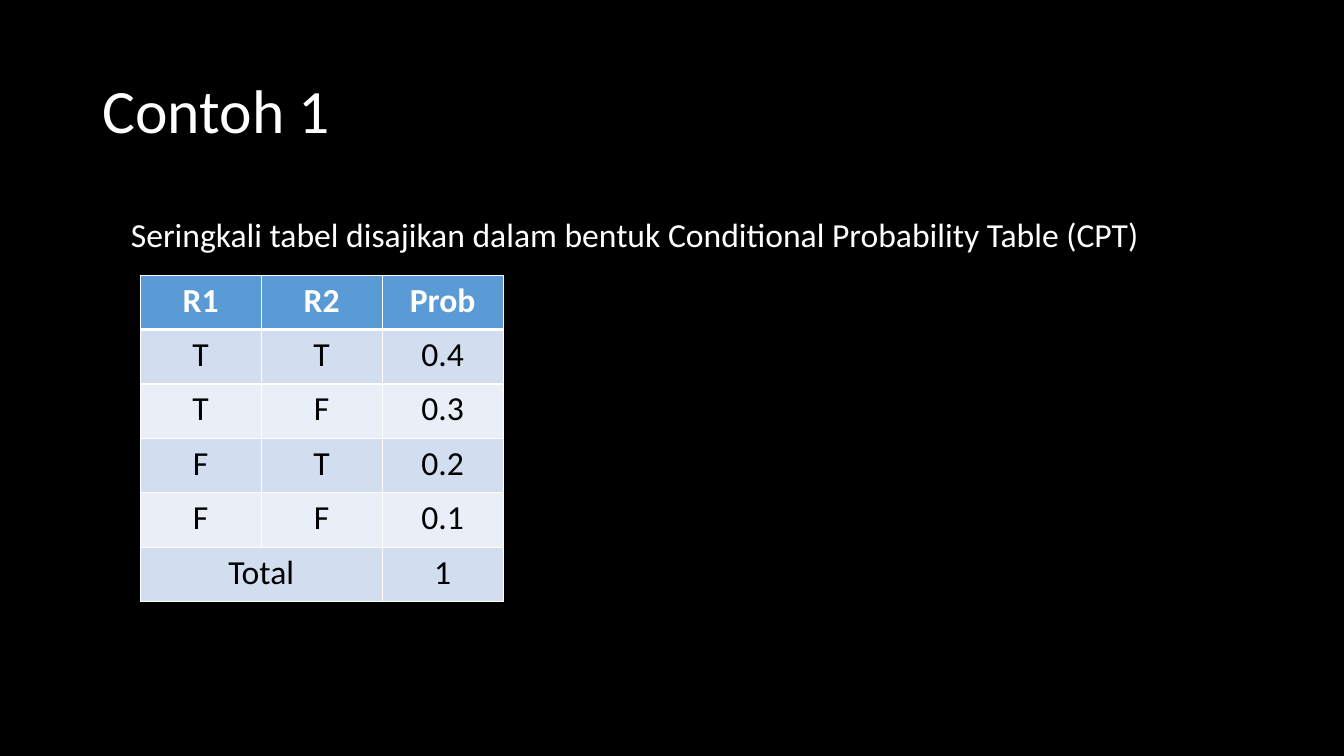
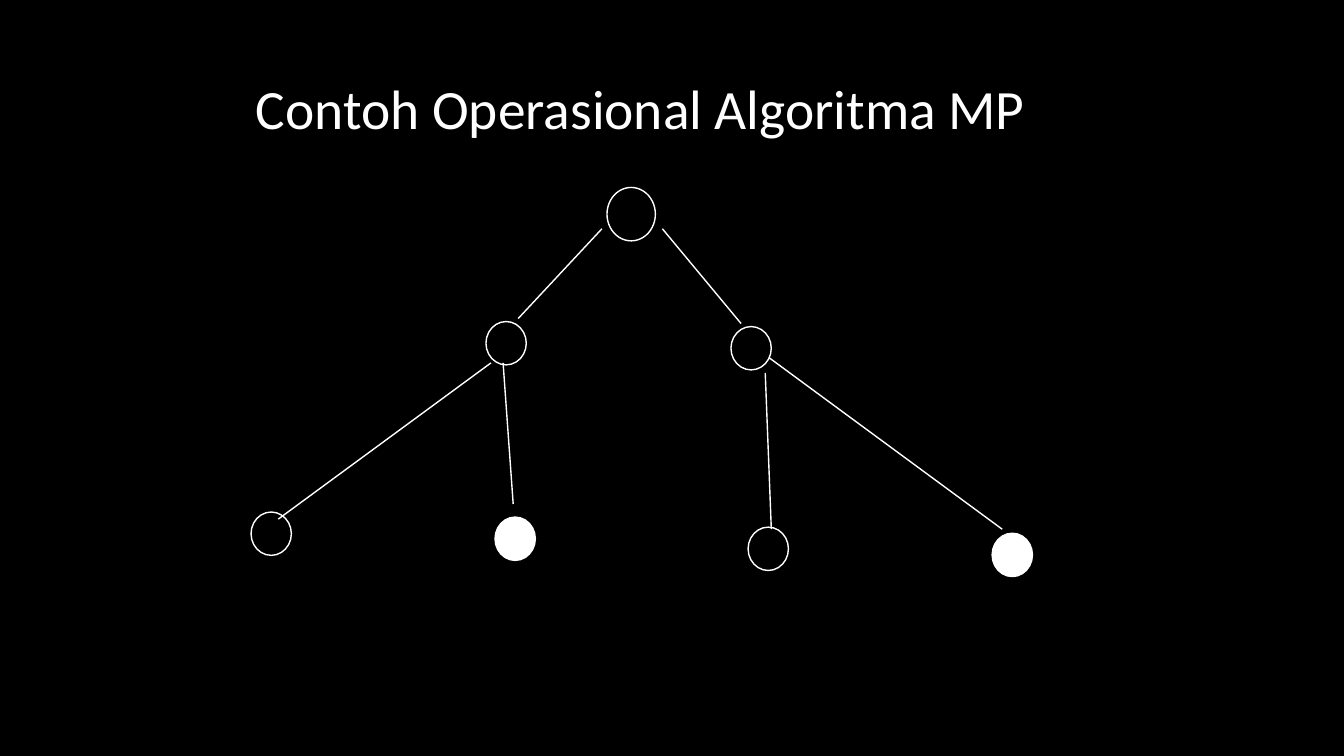
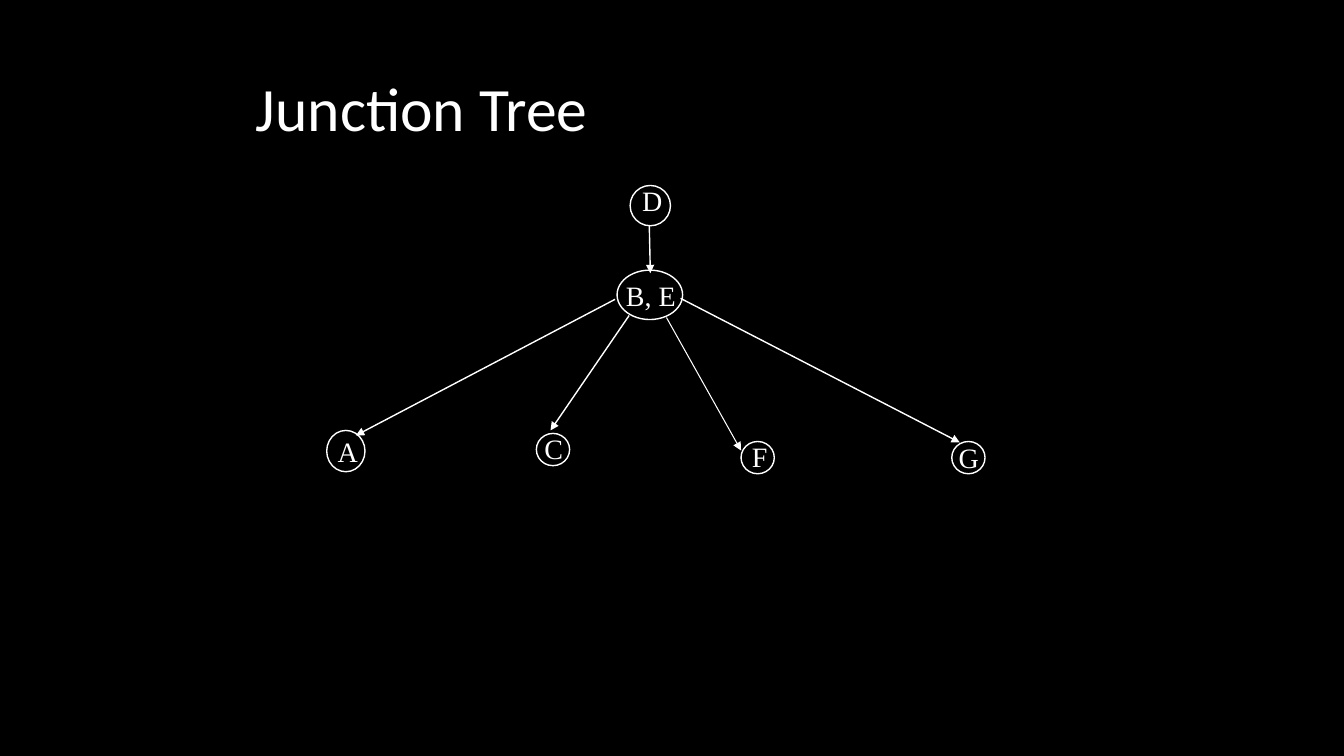
import pptx
import pptx.dml.color
import pptx.enum.shapes
import pptx.enum.text
import pptx.oxml
import pptx.util
from pptx.util import Inches

COLORS = {
    "background": "000000",
    "ink": "FFFFFF",
    "header": "5B9BD5",
    "odd_row": "D2DEEF",
    "even_row": "EAEFF7",
    "cell_text": "000000",
}
RGB = {name: pptx.dml.color.RGBColor.from_string(value) for name, value in COLORS.items()}
BODY_FONT = "Calibri"
NODE_FONT = "Times New Roman"
DRAWING_NS = pptx.oxml.ns.nsdecls("a")
ANCHOR = pptx.enum.text.MSO_ANCHOR
AUTO_SIZE = pptx.enum.text.MSO_AUTO_SIZE


def add_text(slide, text, box, size, font=BODY_FONT, wrap=True):
    tf = slide.shapes.add_textbox(*map(Inches, box)).text_frame
    tf.word_wrap = wrap
    tf.auto_size = AUTO_SIZE.SHAPE_TO_FIT_TEXT
    tf.text = text
    r = tf.paragraphs[0].runs[0]
    r.font.name = font
    r.font.size = pptx.util.Pt(size)
    r.font.color.rgb = RGB["ink"]
    return tf


def add_edge(slide, start, end, width=1, arrow=False):
    line = slide.shapes.add_connector(
        pptx.enum.shapes.MSO_CONNECTOR.STRAIGHT, *map(Inches, start + end))
    line.line.color.rgb = RGB["ink"]
    line.line.width = pptx.util.Pt(width)
    if arrow:
        line.line._get_or_add_ln().append(
            pptx.oxml.parse_xml(f'<a:tailEnd {DRAWING_NS} type="triangle"/>'))
    line._element.spPr.append(pptx.oxml.parse_xml(f"<a:effectLst {DRAWING_NS}/>"))


prs = pptx.Presentation()
prs.slide_width = Inches(13.33)
prs.slide_height = Inches(7.5)
bg = prs.slide_master.background.fill
bg.solid()
bg.fore_color.rgb = RGB["background"]

# Slides and titles
tree_title_box = (2.44, 0.48, 8.5, 1.25)
titles = [
    ("Contoh 1", (0.92, 0.4, 11.5, 1.45), 44),
    ("Contoh Operasional Algoritma MP", tree_title_box, 39.6),
    ("Junction Tree", tree_title_box, 44),
]
slides = []
for title, box, size in titles:
    s = prs.slides.add_slide(prs.slide_layouts[6])
    tf = add_text(s, title, box, size)
    tf.auto_size = AUTO_SIZE.NONE
    tf.vertical_anchor = ANCHOR.MIDDLE
    tf.paragraphs[0].line_spacing = 0.9
    slides.append(s)
table_slide, message_slide, junction_slide = slides

# Probability table
add_text(table_slide,
         "Seringkali tabel disajikan dalam bentuk Conditional Probability Table (CPT)",
         (1.2, 2.07, 11, 0.5), 24)
rows = [
    ("R1", "R2", "Prob"),
    ("T", "T", "0.4"),
    ("T", "F", "0.3"),
    ("F", "T", "0.2"),
    ("F", "F", "0.1"),
    ("Total", "", "1"),
]
table = table_slide.shapes.add_table(
    len(rows), 3, Inches(1.39), Inches(2.73), Inches(3.6), Inches(0.54 * len(rows))).table
for i, row in enumerate(rows):
    fill = "header" if i == 0 else "odd_row" if i % 2 else "even_row"
    for j, text in enumerate(row):
        cell = table.cell(i, j)
        tcPr = cell._tc.get_or_add_tcPr()
        for side in "LRTB":
            under_header = (i, side) in ((0, "B"), (1, "T"))
            width = pptx.util.Pt(3 if under_header else 1)
            tcPr.append(pptx.oxml.parse_xml(
                f'<a:ln{side} {DRAWING_NS} w="{width}"><a:solidFill>'
                f'<a:srgbClr val="{COLORS["ink"]}"/></a:solidFill></a:ln{side}>'))
        cell.fill.solid()
        cell.fill.fore_color.rgb = RGB[fill]
        if text:
            cell.text = text
            p = cell.text_frame.paragraphs[0]
            p.alignment = pptx.enum.text.PP_ALIGN.CENTER
            font = p.runs[0].font
            font.name = BODY_FONT
            font.size = pptx.util.Pt(24)
            font.bold = i == 0
            font.color.rgb = RGB["ink" if i == 0 else "cell_text"]
table.cell(5, 0).merge(table.cell(5, 1))

# Tree nodes: slide, left, top, width, height, filled
node = (0.4, 0.43)
leaf = (0.33, 0.32)
nodes = [
    (message_slide, 6.02, 1.86, 0.48, 0.53, False),
    (message_slide, 4.82, 3.19, *node, False),
    (message_slide, 7.25, 3.24, *node, False),
    (message_slide, 2.49, 5.08, *node, False),
    (message_slide, 4.91, 5.13, *node, True),
    (message_slide, 7.42, 5.23, *node, False),
    (message_slide, 9.84, 5.29, *node, True),
    (junction_slide, 6.25, 1.84, 0.4, 0.4, False),
    (junction_slide, 6.12, 2.68, 0.65, 0.49, False),
    (junction_slide, 3.24, 4.27, 0.38, 0.41, False),
    (junction_slide, 5.32, 4.3, *leaf, False),
    (junction_slide, 7.35, 4.38, *leaf, False),
    (junction_slide, 9.44, 4.38, *leaf, False),
]
for s, left, top, width, height, filled in nodes:
    sp = s.shapes.add_shape(pptx.enum.shapes.MSO_SHAPE.OVAL,
                            *map(Inches, (left, top, width, height)))
    sp.shadow.inherit = False
    sp.line.color.rgb = RGB["ink"]
    sp.line.width = pptx.util.Pt(1)
    if filled:
        sp.fill.solid()
        sp.fill.fore_color.rgb = RGB["ink"]
    else:
        sp.fill.background()

# Message passing edges
message_edges = [
    ((5.97, 2.27), (5.14, 3.16)),
    ((6.57, 2.27), (7.35, 3.21)),
    ((4.87, 3.6), (2.76, 5.15)),
    ((4.99, 3.6), (5.09, 5)),
    ((7.59, 3.7), (7.65, 5.25)),
    ((7.63, 3.55), (9.94, 5.25)),
]
for start, end in message_edges:
    add_edge(message_slide, start, end)

# Junction tree arrows and labels
junction_edges = [
    ((6.44, 2.24), (6.45, 2.71), 1),
    ((6.1, 2.97), (3.53, 4.32), 1),
    ((6.24, 3.13), (5.46, 4.27), 1),
    ((6.75, 2.96), (9.52, 4.39), 1),
    ((6.61, 3.15), (7.35, 4.47), 0.75),
]
for start, end, width in junction_edges:
    add_edge(junction_slide, start, end, width, arrow=True)

labels = [
    ("D", 6.27, 1.77, 0.4),
    ("A", 3.25, 4.26, 0.4),
    ("B, E", 6.11, 2.71, 0.7),
    ("C", 5.3, 4.23, 0.39),
    ("F", 7.36, 4.31, 0.36),
    ("G", 9.41, 4.32, 0.4),
]
for text, left, top, width in labels:
    add_text(junction_slide, text, (left, top, width, 0.43), 20, NODE_FONT, wrap=False)

prs.save("out.pptx")
